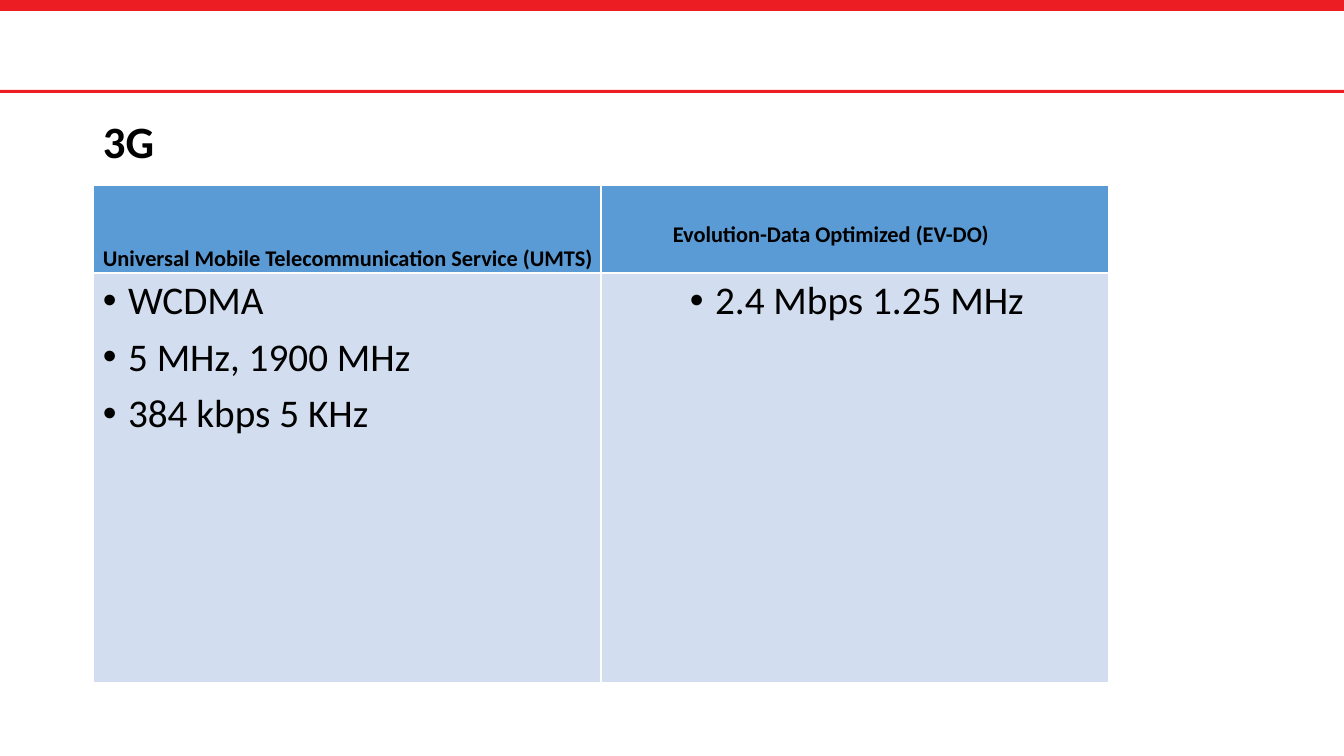
from lxml import etree
from pptx import Presentation
from pptx import util as u
from pptx.dml.color import RGBColor
from pptx.enum import shapes, text
from pptx.oxml.ns import qn

PX = 914400 / 100.8
RED = RGBColor(0xED, 0x1D, 0x24)
HEADER_BLUE = RGBColor(0x5B, 0x9B, 0xD5)
BODY_BLUE = RGBColor(0xD2, 0xDE, 0xEF)
BLACK = RGBColor(0, 0, 0)


def px(*lengths):
    """Turn pixel lengths into EMU."""
    return [u.Emu(round(length * PX)) for length in lengths]


def add_text(page, place, lines, size, anchor, bold=False, bullets=False):
    frame = page.shapes.add_textbox(*px(*place)).text_frame
    frame.word_wrap = True
    frame.vertical_anchor = anchor
    for index, line in enumerate(lines):
        para = frame.paragraphs[0] if index == 0 else frame.add_paragraph()
        para.text = line
        para.line_spacing = 0.9
        if index:
            para.space_before = u.Pt(10)
        if bullets:
            properties = para._p.get_or_add_pPr()
            properties.set("marL", "228600")
            properties.set("indent", "-228600")
            etree.SubElement(properties, qn("a:buFont"), typeface="Arial")
            etree.SubElement(properties, qn("a:buChar"), char="•")
        para.font.name = "Calibri"
        para.font.size = u.Pt(size)
        para.font.bold = bold
        para.font.color.rgb = BLACK


deck = Presentation()
deck.slide_width, deck.slide_height = px(1344, 756)
page = deck.slides.add_slide(deck.slide_layouts[6])

# Red rules across the top
for top, height in [(0, 11), (90, 3)]:
    rule = page.shapes.add_shape(
        shapes.MSO_SHAPE.RECTANGLE, *px(0, top, 1344, height))
    rule.shadow.inherit = False
    rule.fill.solid()
    rule.fill.fore_color.rgb = RED
    rule.line.fill.background()

# Table behind the two columns of text; its style draws the white borders
table = page.shapes.add_table(2, 2, *px(93, 185, 1016, 498)).table
for column in table.columns:
    column.width = px(508)[0]
for row, height, color in zip(table.rows, px(88, 410), [HEADER_BLUE, BODY_BLUE]):
    row.height = height
    for cell in row.cells:
        cell.fill.solid()
        cell.fill.fore_color.rgb = color

# Title, headings and bullet lists
TOP, MIDDLE, BOTTOM = (
    text.MSO_ANCHOR.TOP, text.MSO_ANCHOR.MIDDLE, text.MSO_ANCHOR.BOTTOM)
add_text(page, (93, 101, 1159, 86), ["3G"], 32, MIDDLE, bold=True)
columns = [
    ((93, 185, 568, 91), "Universal Mobile Telecommunication Service (UMTS)",
     (93, 276, 568, 406), ["WCDMA", "5 MHz, 1900 MHz", "384 kbps 5 KHz"]),
    ((663, 181, 446, 71), "Evolution-Data Optimized (EV-DO)",
     (680, 276, 572, 406), ["2.4 Mbps 1.25 MHz"]),
]
for heading_place, heading, list_place, items in columns:
    add_text(page, heading_place, [heading], 16, BOTTOM, bold=True)
    add_text(page, list_place, items, 28, TOP, bullets=True)

deck.save("out.pptx")
